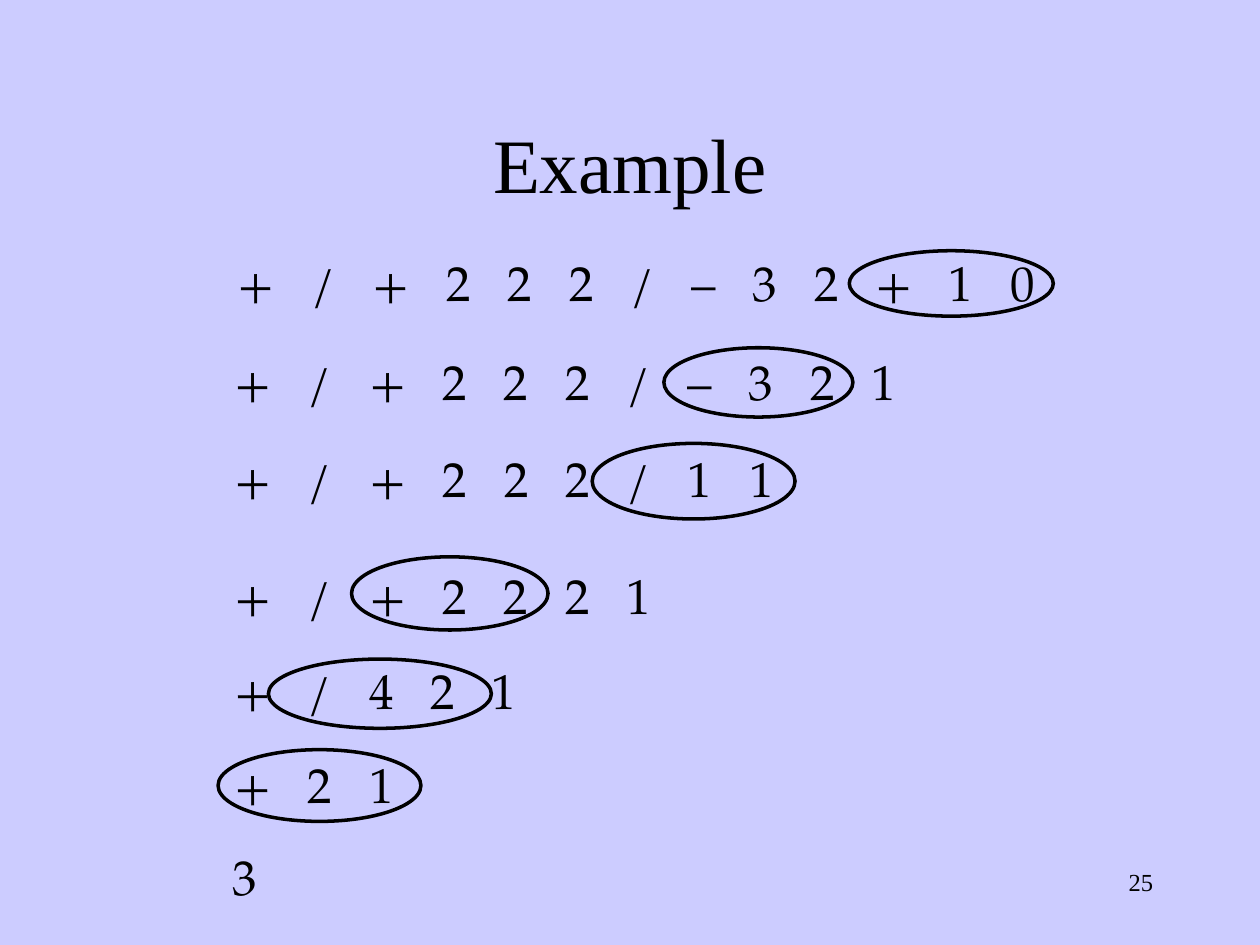
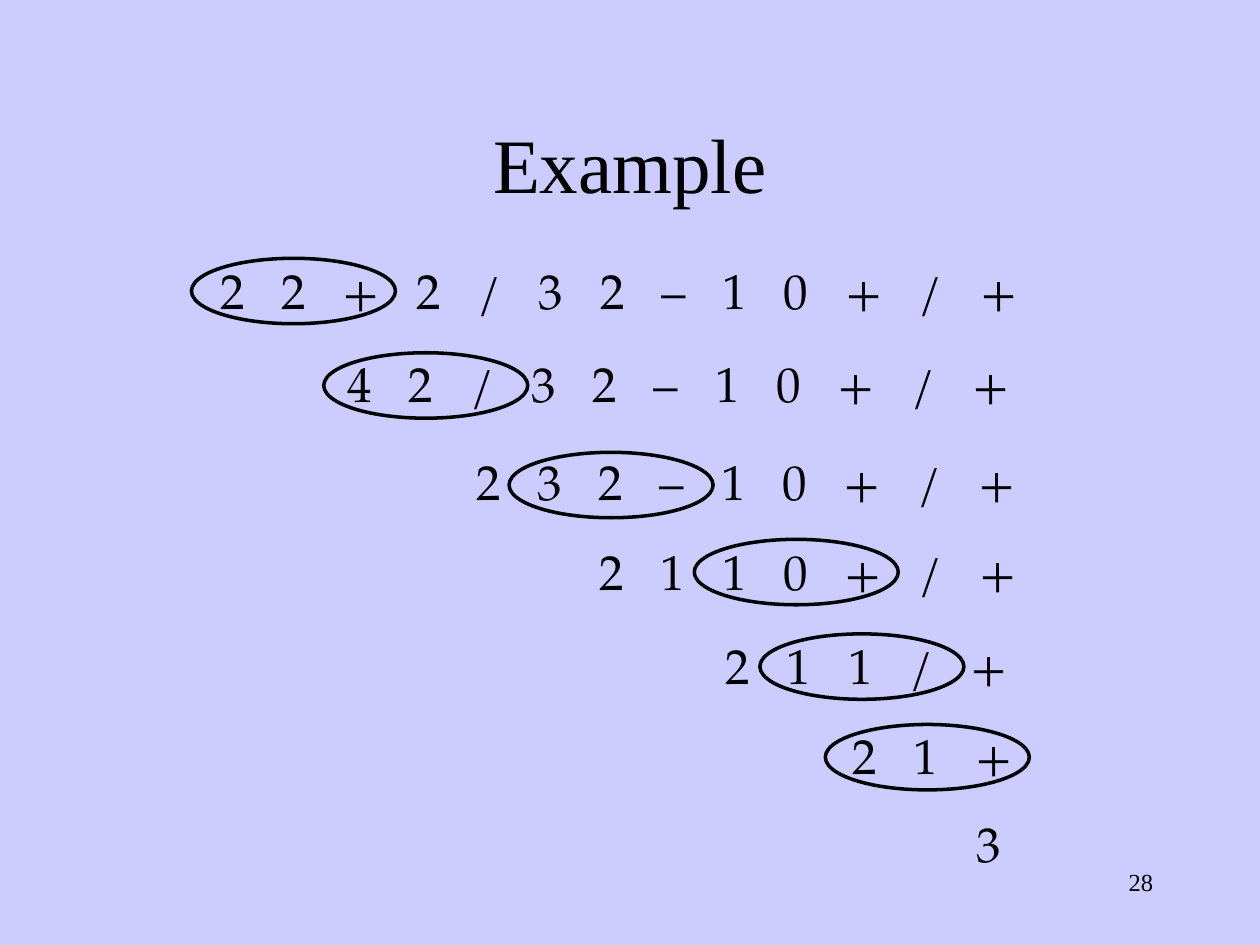
from lxml.etree import SubElement
from pptx import Presentation
from pptx.dml.color import RGBColor
from pptx.enum.shapes import MSO_SHAPE
from pptx.enum.text import MSO_ANCHOR, PP_ALIGN
from pptx.oxml.ns import qn
from pptx.util import Pt

BACKGROUND, INK = "CCCCFF", "000000"
TITLE = {"name": "Times New Roman", "size": Pt(44)}
NUMBER = {"name": "Times New Roman", "size": Pt(14)}
EXPRESSION = {"name": "TeX Gyre Pagella", "size": Pt(28)}
TITLE_AREA = (54, 48.2, 612, 90)
NUMBER_AREA = (516.2, 491.8, 149.8, 36)

# Advance of each symbol at 28 points, and the gap between symbols.
SYMBOL_WIDTHS = {"+": 21.1}
DEFAULT_WIDTH, GAP = 14, 21
TIGHT, SINGLE = 0.9, 1.0
ROW_HEIGHTS = {TIGHT: 37.4, SINGLE: 41}
RING = (116.6, 37.4)

# Row: expression, left, top, width, line spacing.
# Ring around the step evaluated next: left, top, width, height.
PAGES = [
    {
        "title": "Example",
        "number": "25",
        "rows": [
            ("+ / + 2 2 2 / – 3 2 + 1 0", 128.9, 144.7, 504.7, TIGHT),
            ("+ / + 2 2 2 / – 3 2 1", 126.7, 197.3, 412.6, SINGLE),
            ("+ / + 2 2 2 / 1 1", 126.7, 252.7, 349.2, SINGLE),
            ("+ / + 2 2 2 1", 126.7, 319.7, 273.6, SINGLE),
            ("+ / 4 2 1", 126.7, 373.7, 214.6, SINGLE),
            ("+ 2 1", 126.7, 427.7, 141.1, SINGLE),
            ("3", 126, 480.2, 29.5, SINGLE),
        ],
        "rings": [
            (485.3, 143.3, *RING),
            (379.4, 198.7, 108, 39.6),
            (338.4, 253.4, 115.9, 43.2),
            (200.9, 318.2, 112.3, 41.8),
            (153.4, 376.6, 127.4, 39.6),
            (124.6, 428.4, 115.9, 41),
        ],
    },
    {
        "title": "Example",
        "number": "28",
        "rows": [
            ("2 2 + 2 / 3 2 – 1 0 + / +", 118.8, 149, 493.2, TIGHT),
            ("4 2 / 3 2 – 1 0 + / +", 191.5, 202.3, 416.9, TIGHT),
            ("2 3 2 – 1 0 + / +", 265, 258.5, 357.1, TIGHT),
            ("2 1 1 0 + / +", 335.5, 309.6, 287.3, TIGHT),
            ("2 1 1 / +", 407.5, 363.6, 210.2, TIGHT),
            ("2 1 +", 480.2, 414.7, 142.6, TIGHT),
            ("3", 550.8, 465.1, 48.2, TIGHT),
        ],
        "rings": [
            (109.4, 147.6, *RING),
            (185, 201.6, *RING),
            (290.9, 258.5, *RING),
            (396.7, 308.2, *RING),
            (434.2, 362.2, *RING),
            (471.6, 414, *RING),
        ],
    },
]


def color(value):
    return RGBColor.from_string(value)


def points(area):
    return [Pt(length) for length in area]


def write(box, text, style, align=PP_ALIGN.LEFT):
    """Put one formatted line in the box and return its paragraph."""
    frame = box.text_frame
    frame.word_wrap = True
    para = frame.paragraphs[0]
    para.alignment = align
    span = para.add_run()
    span.text = text
    for name, value in style.items():
        setattr(span.font, name, value)
    span.font.color.rgb = color(INK)
    return para


def add_title(page, text):
    title = page.shapes.title
    title.left, title.top, title.width, title.height = points(TITLE_AREA)
    title.text_frame.vertical_anchor = MSO_ANCHOR.MIDDLE
    write(title, text, TITLE, PP_ALIGN.CENTER)


def add_number(page, text):
    box = page.shapes.add_textbox(*points(NUMBER_AREA))
    write(box, text, NUMBER, PP_ALIGN.RIGHT)


def add_tab_stops(para, symbols):
    """Set a stop where each symbol after the first begins."""
    tabs = SubElement(para._p.get_or_add_pPr(), qn("a:tabLst"))
    position = 0
    for symbol in symbols[:-1]:
        position += SYMBOL_WIDTHS.get(symbol, DEFAULT_WIDTH) + GAP
        SubElement(tabs, qn("a:tab"), pos=str(Pt(position)), algn="l")


def add_row(page, expression, left, top, width, spacing):
    symbols = expression.split()
    area = (left, top, width, ROW_HEIGHTS[spacing])
    box = page.shapes.add_textbox(*points(area))
    para = write(box, "\t".join(symbols), EXPRESSION)
    if len(symbols) > 1:
        add_tab_stops(para, symbols)
    para.line_spacing = spacing


def add_ring(page, area):
    ring = page.shapes.add_shape(MSO_SHAPE.OVAL, *points(area))
    ring.shadow.inherit = False
    ring.fill.background()
    ring.line.color.rgb = color(INK)
    ring.line.width = Pt(2)


def main():
    deck = Presentation()
    deck.slide_width, deck.slide_height = Pt(720), Pt(540)
    fill = deck.slide_master.background.fill
    fill.solid()
    fill.fore_color.rgb = color(BACKGROUND)
    title_only = deck.slide_layouts.get_by_name("Title Only")
    for content in PAGES:
        page = deck.slides.add_slide(title_only)
        add_number(page, content["number"])
        add_title(page, content["title"])
        for row in content["rows"]:
            add_row(page, *row)
        for area in content["rings"]:
            add_ring(page, area)
    deck.save("out.pptx")


if __name__ == "__main__":
    main()
